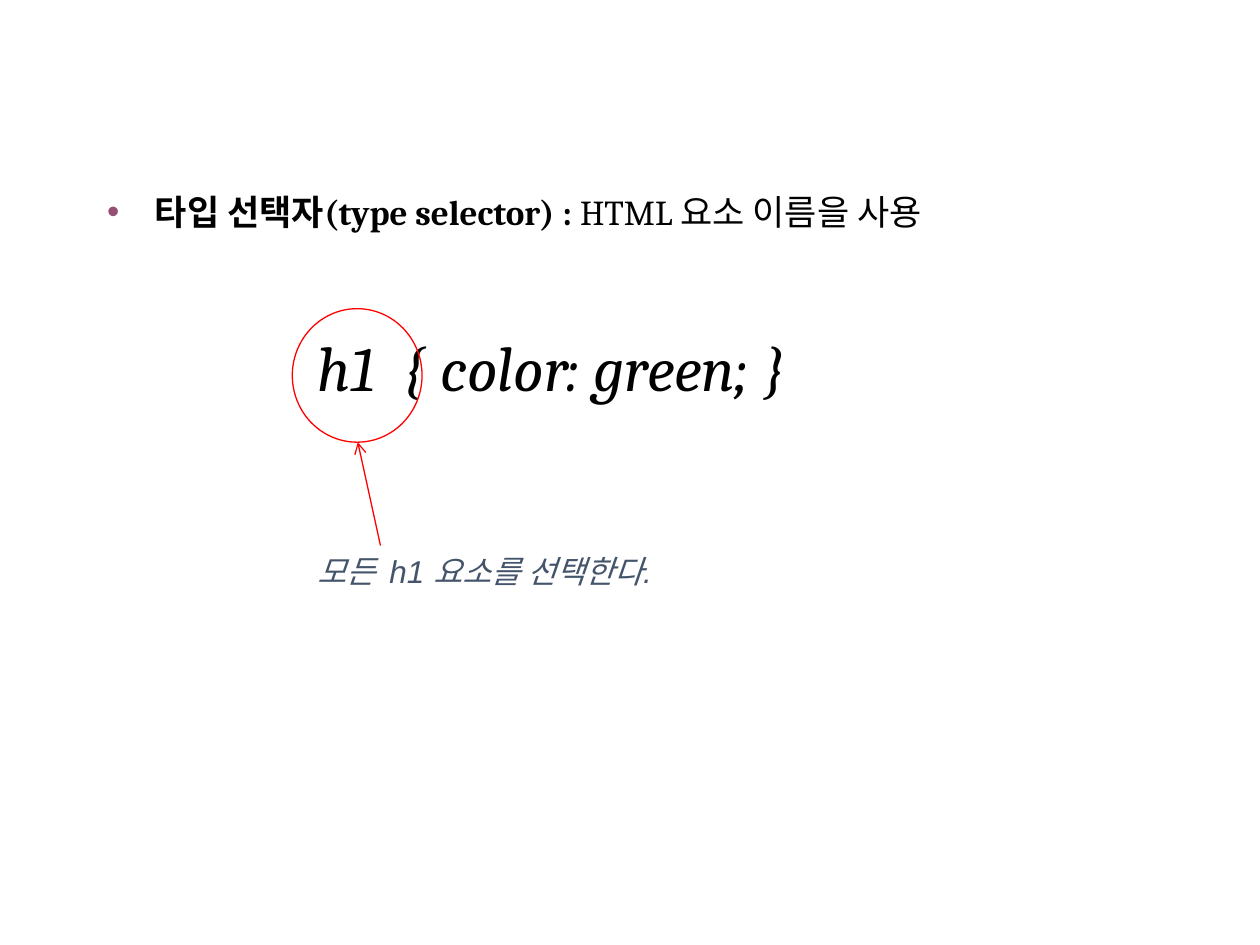
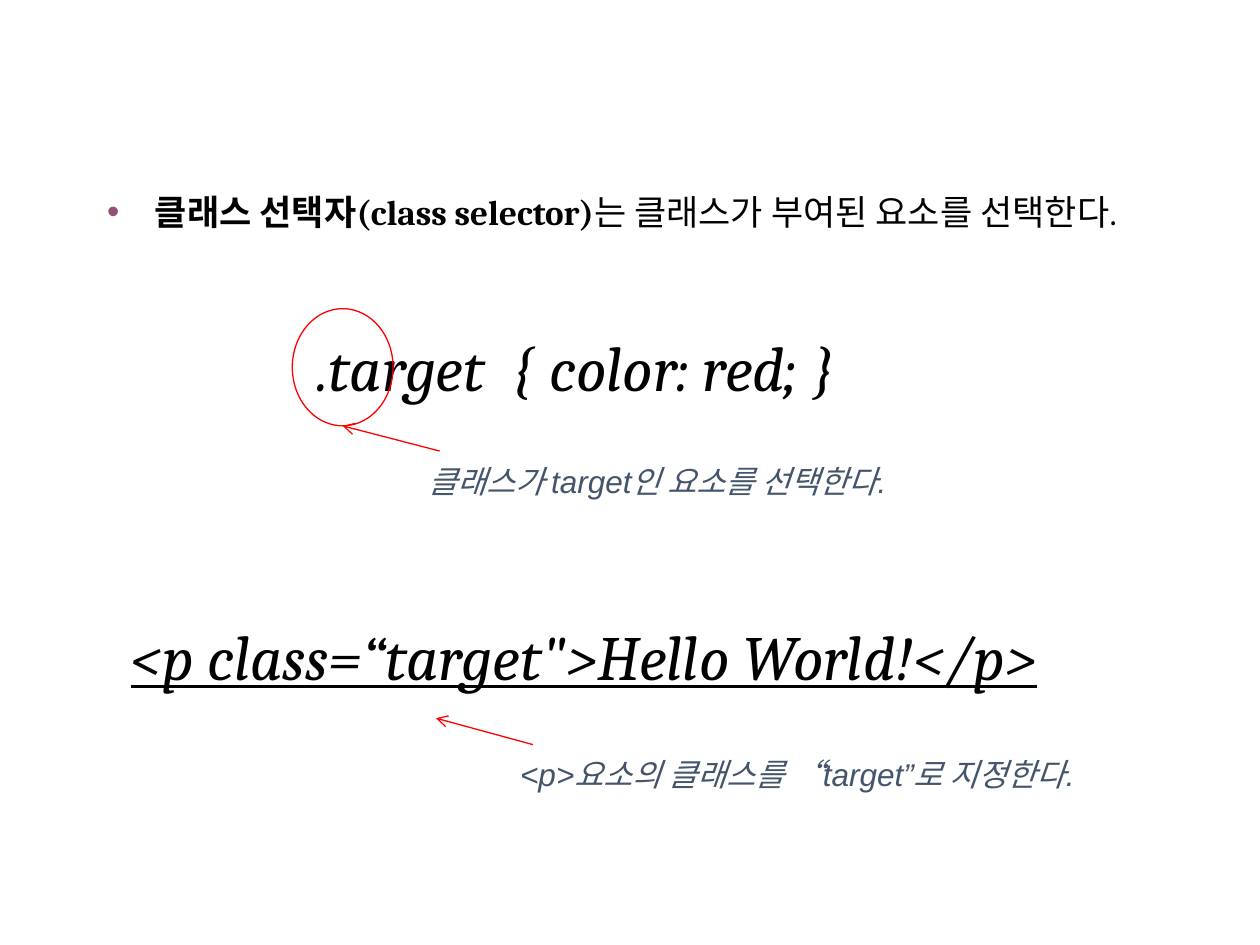
from lxml.etree import SubElement
from pptx import Presentation
from pptx.dml.color import RGBColor
from pptx.enum.shapes import MSO_CONNECTOR as Connector, MSO_SHAPE as Shape
from pptx.enum.text import MSO_ANCHOR as Anchor, MSO_AUTO_SIZE as AutoSize
from pptx.oxml.ns import qn
from pptx.util import Inches, Pt

BLACK = RGBColor(0x00, 0x00, 0x00)
SLATE = RGBColor(0x44, 0x54, 0x6A)
RED = RGBColor(0xFF, 0x00, 0x00)
PLUM = RGBColor(0x95, 0x4F, 0x72)

# Text formats
LEAD = {"name": "Cambria", "size": Pt(20), "bold": True}
REST = {**LEAD, "bold": False}
CODE = {"name": "Cambria", "size": Pt(36), "italic": True}
MARKUP = {**CODE, "underline": True}
CAPTION = {"name": "Arial", "size": Pt(18), "italic": True}

# Slide grid: 100 columns by 75 rows
deck = Presentation()
deck.slide_width, deck.slide_height = Inches(10), Inches(7.5)
COLUMN, ROW = deck.slide_width / 100, deck.slide_height / 75


def on_grid(*cells):
    """Turn column, row pairs into slide lengths."""
    return [round(cell * (ROW if i % 2 else COLUMN)) for i, cell in enumerate(cells)]


def write(para, text, text_format, color):
    span = para.add_run()
    span.text = text
    for attribute, value in text_format.items():
        setattr(span.font, attribute, value)
    span.font.color.rgb = color


# Each slide: lead, rest, circle size, texts (text, format, color, cells, wrap), arrows
selectors = [
    ("타입 선택자(type selector) : ", "HTML 요소 이름을 사용", (10.3, 10.6),
     [("h1  { color: green; }", CODE, BLACK, (24.2, 25.6, 44.8, 7.1), False),
      ("모든  h1 요소를 선택한다.", CAPTION, SLATE, (24.2, 43.3, 31.8, 4), False)],
     [(30.2, 43.3, 28.4, 35.1)]),
    ("클래스 선택자(class selector)", "는 클래스가 부여된 요소를 선택한다.", (8, 9.3),
     [(".target  { color: red; }", CODE, BLACK, (24.2, 25.6, 49, 7.1), False),
      ("클래스가 target인 요소를 선택한다.", CAPTION, SLATE, (33, 36.2, 41.6, 4), False),
      ('<p class=“target">Hello World!</p>', MARKUP, BLACK, (9.4, 48.5, 89.1, 7.1), True),
      ("<p>요소의 클래스를 “target”로 지정한다.", CAPTION, SLATE, (40.3, 59.4, 48, 4), False)],
     [(34.9, 35.8, 27.2, 33.8), (42.3, 59.1, 34.6, 57)]),
]

for lead, rest, circle_size, texts, arrows in selectors:
    page = deck.slides.add_slide(deck.slide_layouts[1])
    title = page.shapes.title
    title.element.getparent().remove(title.element)

    # Bulleted definition
    body = page.placeholders[1]
    body.left, body.top, body.width, body.height = on_grid(7.5, 14.6, 89.8, 45.4)
    body.text_frame.vertical_anchor = Anchor.TOP
    para = body.text_frame.paragraphs[0]
    write(para, lead, LEAD, BLACK)
    write(para, rest, REST, BLACK)
    properties = para._p.get_or_add_pPr()
    properties.set("marL", str(Inches(0.38)))
    properties.set("indent", str(-Inches(0.38)))
    bullet_color = SubElement(properties, qn("a:buClr"))
    SubElement(bullet_color, qn("a:srgbClr"), val=str(PLUM))
    SubElement(properties, qn("a:buChar"), char="•")

    # Code samples and captions
    for text, text_format, color, cells, wrap in texts:
        box = page.shapes.add_textbox(*on_grid(*cells))
        box.text_frame.word_wrap = wrap
        box.text_frame.auto_size = AutoSize.SHAPE_TO_FIT_TEXT
        write(box.text_frame.paragraphs[0], text, text_format, color)

    # Circle around the selector
    circle = page.shapes.add_shape(Shape.OVAL, *on_grid(23.2, 24.5, *circle_size))
    circle.shadow.inherit = False
    circle.fill.background()
    circle.line.color.rgb = RED
    circle.line.width = Pt(0.75)

    # Arrows from the captions to the code
    for ends in arrows:
        arrow = page.shapes.add_connector(Connector.STRAIGHT, *on_grid(*ends))
        arrow.line.color.rgb = RED
        arrow.line.width = Pt(0.75)
        SubElement(arrow.line._get_or_add_ln(), qn("a:tailEnd"), type="arrow")
        SubElement(arrow._element.spPr, qn("a:effectLst"))

deck.save("out.pptx")
